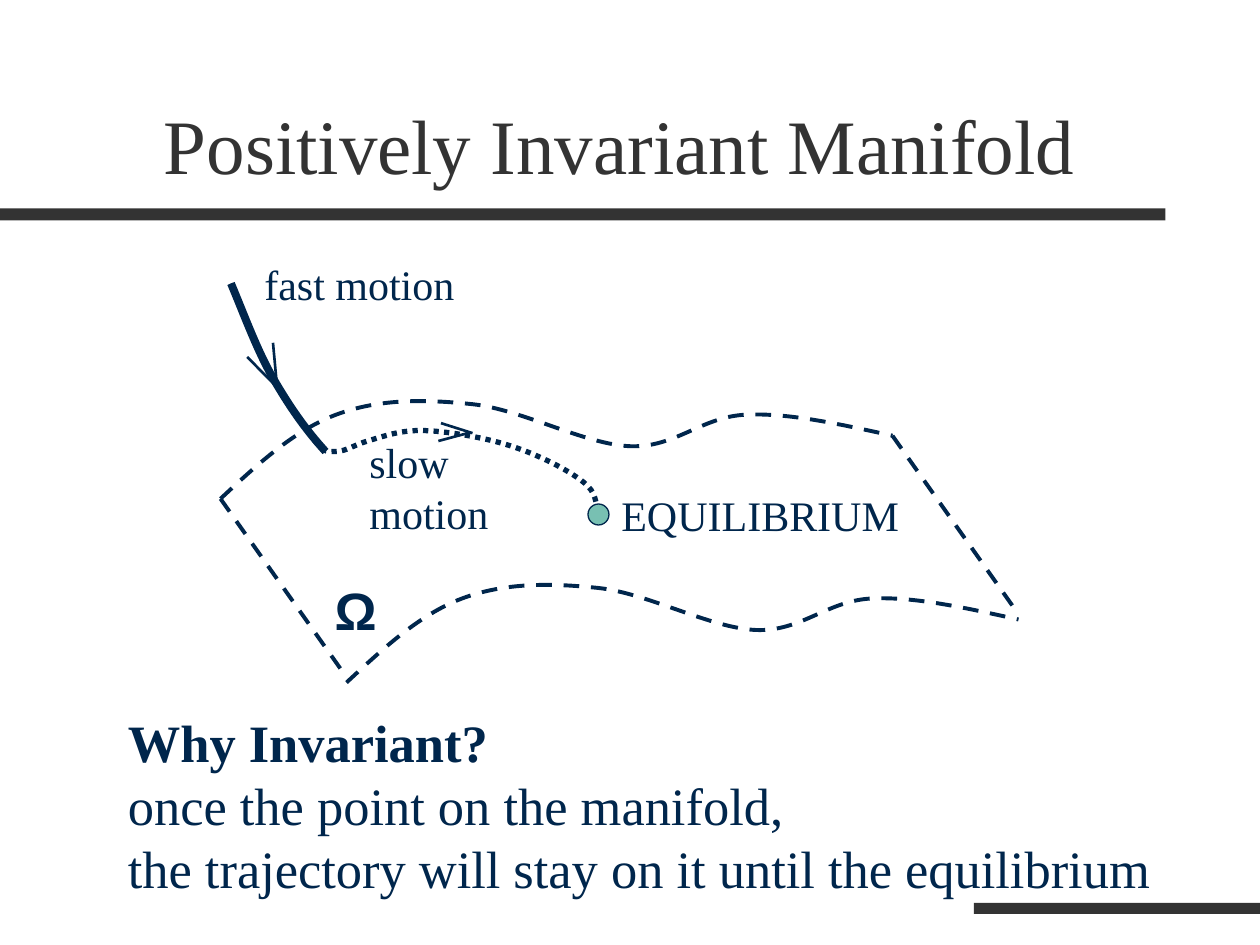
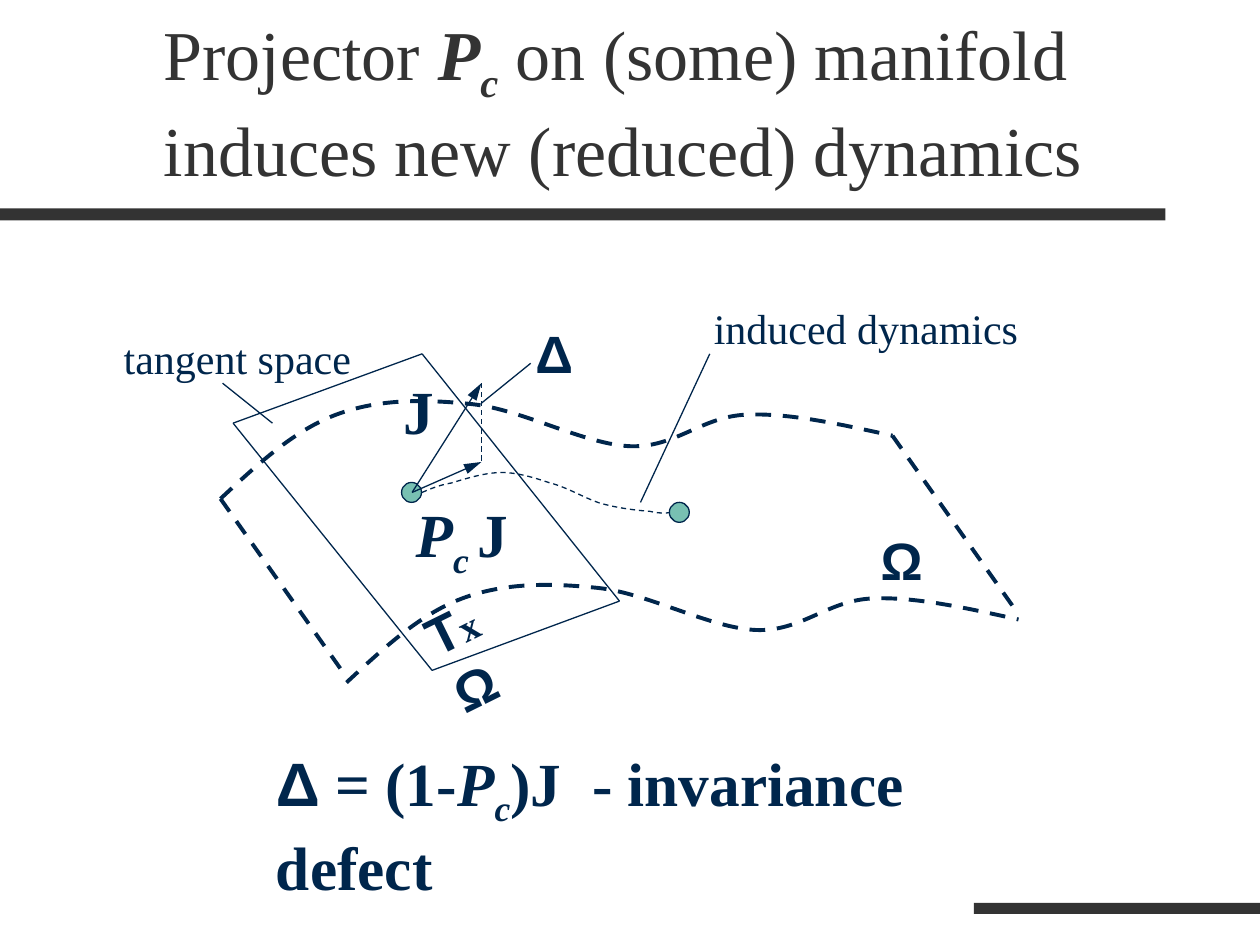
from dataclasses import dataclass

from lxml import etree
from pptx import Presentation
from pptx.dml.color import RGBColor
from pptx.enum.dml import MSO_LINE
from pptx.enum.shapes import MSO_CONNECTOR, MSO_SHAPE
from pptx.enum.text import MSO_ANCHOR, MSO_AUTO_SIZE, PP_ALIGN
from pptx.oxml.ns import qn
from pptx.util import Inches, Pt

CHARCOAL = RGBColor(0x33, 0x33, 0x33)
NAVY = RGBColor(0x00, 0x26, 0x4C)
TEAL = RGBColor(0x78, 0xC0, 0xB2)
SERIF = "Times New Roman"
SANS = "Arial"

DASH = MSO_LINE.DASH
DOTS = MSO_LINE.ROUND_DOT
STRAIGHT = MSO_CONNECTOR.STRAIGHT
RECTANGLE = MSO_SHAPE.RECTANGLE
OVAL = MSO_SHAPE.OVAL
BOTTOM = MSO_ANCHOR.BOTTOM
TOP = MSO_ANCHOR.TOP
LEFT = PP_ALIGN.LEFT
FIXED = MSO_AUTO_SIZE.NONE
GROW = MSO_AUTO_SIZE.SHAPE_TO_FIT_TEXT

COLUMNS, ROWS = 120, 90
CELL = Inches(10) / COLUMNS
SUBSCRIPT = "-25000"

MANIFOLD_EDGE = [
    (0, 9.5),
    (3.5, 6.25), (7, 3), (11, 1.5),
    (15, 0), (19.3, 0), (24, 0.5),
    (28.7, 1), (34.7, 4.33), (39, 4.5),
    (43.3, 4.67), (45.8, 1.7), (50, 1.5),
    (54.1, 1.3), (59, 2.4), (64, 3.5),
]
MANIFOLD_SHIFT = (12, 17.5)
SIDE_SHIFT = (12, 17)

FAST_PATH = [
    (1, 3),
    (2.3, 6.1), (3.5, 9.4), (5, 12),
    (6.5, 14.6), (8, 16.8), (10, 19),
]
WHOLE_PATH = [
    (1, 3),
    (1.7, 4.8), (2.3, 6.5), (3, 8),
    (3.7, 9.5), (4, 10.3), (5, 12),
    (6, 13.7), (8, 16.8), (9, 18),
    (10, 19.2), (10.2, 19), (11, 19),
    (11.9, 19), (12.7, 18.4), (14, 18),
    (15.4, 17.6), (17, 17), (19, 17),
    (21, 17), (24, 17.5), (26, 18),
    (28, 18.5), (29.5, 19.1), (31, 19.8),
    (32.5, 20.5), (34.2, 21.5), (35, 22.3),
    (35.9, 23.2), (35.8, 24.5), (36, 25),
]
INDUCED_PATH = [
    (19.2, 22.9),
    (19.9, 22.6), (20.8, 22.2), (22, 22),
    (23.3, 21.6), (25.2, 21), (26.8, 21),
    (28.3, 21), (29.9, 21.5), (31.4, 22),
    (33, 22.4), (34.6, 23.4), (36.1, 23.9),
    (37.8, 24.4), (39.6, 24.6), (40.9, 24.7),
    (42.1, 25), (43, 24.8), (43.7, 24.7),
]


@dataclass
class Box:
    column: float
    row: float
    width: float
    height: float

    def at(self, column, row):
        return round((self.column + column) * CELL), round((self.row + row) * CELL)

    def area(self, column, row, width, height):
        return *self.at(column, row), round(width * CELL), round(height * CELL)

    def inner(self, column, row, width, height):
        return Box(self.column + column, self.row + row, width, height)


PAGE = Box(0, 0, COLUMNS, ROWS)
TITLE = Box(14.4, 3.7, 102, 15)
DIAGRAM = Box(21, 24, 76, 42)


def write(frame, *paragraphs, size=24, font=SERIF, color=NAVY, bold=False):
    for index, runs in enumerate(paragraphs):
        paragraph = frame.paragraphs[0] if index == 0 else frame.add_paragraph()
        paragraph.alignment = LEFT
        for text, style in [(runs, {})] if isinstance(runs, str) else runs:
            if style.get("break_before"):
                paragraph.add_line_break()
            run = paragraph.add_run()
            run.text = text
            run.font.size = Pt(style.get("size", size))
            run.font.name = style.get("font", font)
            run.font.color.rgb = color
            run.font.bold = style.get("bold", bold)
            run.font.italic = style.get("italic", False)
            if style.get("subscript"):
                run.font._element.set("baseline", SUBSCRIPT)
            if "tracking" in style:
                run.font._element.set("spc", str(style["tracking"]))


def add_label(slide, box, place, *paragraphs, rotation=0, **style):
    label = slide.shapes.add_textbox(*box.area(*place))
    label.rotation = rotation
    frame = label.text_frame
    frame.word_wrap = True
    frame.auto_size = GROW
    frame.vertical_anchor = TOP
    write(frame, *paragraphs, **style)


def set_stroke(line, width, dash):
    line.color.rgb = NAVY
    line.width = Pt(width)
    if dash:
        line.dash_style = dash


def add_line(shapes, box, start, end, width=0.75, dash=None, arrow=False):
    connector = shapes.add_connector(STRAIGHT, *box.at(*start), *box.at(*end))
    set_stroke(connector.line, width, dash)
    properties = connector._element.spPr
    if arrow:
        etree.SubElement(properties.find(qn("a:ln")), qn("a:tailEnd"),
                         type="triangle", w="med", len="lg")
    etree.SubElement(properties, qn("a:effectLst"))


def bend_segments(curve):
    outline = next(curve._element.iter(qn("a:path")))
    segments = outline.findall(qn("a:lnTo"))
    for index in range(0, len(segments), 3):
        bezier = etree.SubElement(outline, qn("a:cubicBezTo"))
        for segment in segments[index:index + 3]:
            bezier.append(segment[0])
            outline.remove(segment)


def add_curve(shapes, box, knots, width, dash=None):
    points = [box.at(*knot) for knot in knots]
    builder = shapes.build_freeform(*points[0], scale=1.0)
    builder.add_line_segments(points[1:], close=False)
    curve = builder.convert_to_shape()
    bend_segments(curve)
    curve.fill.background()
    curve.shadow.inherit = False
    set_stroke(curve.line, width, dash)


def add_dot(slide, box, column, row, size):
    dot = slide.shapes.add_shape(OVAL, *box.area(column, row, size, size))
    dot.shadow.inherit = False
    dot.fill.solid()
    dot.fill.fore_color.rgb = TEAL
    set_stroke(dot.line, 0.75, None)


def add_bands(slide, box):
    for band in ((0, 19.85, 111, 1.15), (92.75, 86, 27.25, 1.05)):
        bar = slide.shapes.add_shape(RECTANGLE, *box.area(*band))
        bar.shadow.inherit = False
        bar.fill.solid()
        bar.fill.fore_color.rgb = CHARCOAL
        bar.line.fill.background()


def add_page(deck, runs, size):
    slide = deck.slides.add_slide(deck.slide_layouts[5])
    add_bands(slide, PAGE)
    title = slide.shapes.title
    title.left, title.top, title.width, title.height = TITLE.area(
        0, 0, TITLE.width, TITLE.height)
    frame = title.text_frame
    frame.auto_size = FIXED
    frame.word_wrap = True
    frame.vertical_anchor = BOTTOM
    write(frame, runs, size=size, color=CHARCOAL)
    return slide


def add_manifold(slide, box):
    group = slide.shapes.add_group_shape()
    for shift in ((0, 0), MANIFOLD_SHIFT):
        add_curve(group.shapes, box.inner(*shift, 64, 9.5), MANIFOLD_EDGE, 2.25, DASH)
    for column, row in (MANIFOLD_EDGE[0], MANIFOLD_EDGE[-1]):
        end = column + SIDE_SHIFT[0], row + SIDE_SHIFT[1]
        add_line(group.shapes, box, (column, row), end, 2.25, DASH)


def add_motion_diagram(slide, box):
    add_manifold(slide, box.inner(0, 14, 76, 27))
    add_label(slide, box, (37, 22, 30, 6), "EQUILIBRIUM")
    add_curve(slide.shapes, box, WHOLE_PATH, 3, DOTS)
    add_curve(slide.shapes, box, FAST_PATH, 4.5)
    chevron_strokes = [((2.55, 10), (5.5, 13)), ((5, 8.65), (5.4, 13)),
                       ((21, 16.3), (24, 17.25)), ((20.75, 18), (23.75, 17.2))]
    for tail, tip in chevron_strokes:
        add_line(slide.shapes, box, tail, tip, 1.5)
    add_label(slide, box, (3, 0, 22, 6), "fast motion")
    add_label(slide, box, (13, 17, 13.7, 10.8), "slow", "motion")
    add_dot(slide, box, 35, 24, 2)
    add_label(slide, box, (9.7, 30.5, 7, 7.2), "Ω", size=30, font=SANS, bold=True)


def add_invariance_answer(slide, box):
    add_label(
        slide, box, (0, 0, box.width, box.height),
        [("Why Invariant?", {"bold": True})],
        "once the point on the manifold,",
        "the trajectory will stay on it until the equilibrium",
        size=30)


def add_projection_diagram(slide, box):
    shapes = slide.shapes
    add_manifold(slide, box.inner(0, 14, 76, 27))

    tangent_corners = [(1.2, 16.3), (20.15, 39.85), (38, 33.25), (19.2, 9.7)]
    for start, end in zip(tangent_corners, tangent_corners[1:] + tangent_corners[:1]):
        add_line(shapes, box, start, end)

    state, field_tip, projected_tip = (18.25, 22.9), (24.85, 12.5), (24.85, 20)
    add_dot(slide, box, 17.25, 21.95, 1.9)
    for tip in (field_tip, projected_tip):
        add_line(shapes, box, state, tip, arrow=True)
    add_line(shapes, box, field_tip, projected_tip, dash=DASH)
    add_curve(shapes, box, INDUCED_PATH, 0.75, DASH)
    add_dot(slide, box, 42.75, 23.85, 1.9)

    leaders = [((40, 23.85), (46.6, 9.7)), ((0.2, 12.5), (4.95, 16.3)),
               ((24.85, 14.4), (29.55, 10.6))]
    for start, end in leaders:
        add_line(shapes, box, start, end)

    add_label(slide, box, (45.8, 4.2, 33, 6), "induced dynamics")
    add_label(slide, box, (-10.4, 7.1, 25, 6), "tangent space")
    add_label(slide, box, (16.3, 11, 6, 8.3), "J", size=35, bold=True)
    add_label(
        slide, box, (17.4, 22.7, 12, 9.2),
        [("P", {"italic": True}), ("c ", {"italic": True, "subscript": True}), ("J", {})],
        size=35, bold=True)
    for symbol, place in (("Δ", (28.8, 6, 6, 7.2)), ("Ω", (61.7, 25.7, 7, 7.2))):
        add_label(slide, box, place, symbol, size=30, font=SANS, bold=True)
    add_label(
        slide, box, (18.2, 31.4, 10.8, 7.2),
        [("Τ", {}), ("x", {"size": 22, "font": SERIF}), ("Ω", {})],
        size=30, font=SANS, bold=True, rotation=333.6)


def add_defect_formula(slide, box):
    add_label(
        slide, box, (0, 0, box.width, box.height),
        [("Δ", {"font": SANS}), (" = (1-", {}), ("P", {"italic": True}),
         ("c", {"italic": True, "subscript": True}), (")J", {}),
         (" ", {"tracking": 875}), ("- invariance defect", {})],
        size=35, bold=True)


def main():
    deck = Presentation()
    deck.slide_width = Inches(10)
    deck.slide_height = Inches(7.5)

    invariant = add_page(deck, "Positively Invariant Manifold", 44)
    add_motion_diagram(invariant, DIAGRAM)
    add_invariance_answer(invariant, Box(11, 67, 103.2, 19.2))

    projector = add_page(deck, [
        ("Projector ", {}),
        ("P", {"bold": True, "italic": True}),
        ("c", {"bold": True, "italic": True, "subscript": True}),
        (" on (some) manifold", {}),
        ("induces new (reduced) dynamics", {"break_before": True}),
    ], 40)
    add_projection_diagram(projector, DIAGRAM)
    add_defect_formula(projector, Box(25.1, 70.4, 76, 9.2))

    deck.save("out.pptx")


if __name__ == "__main__":
    main()
